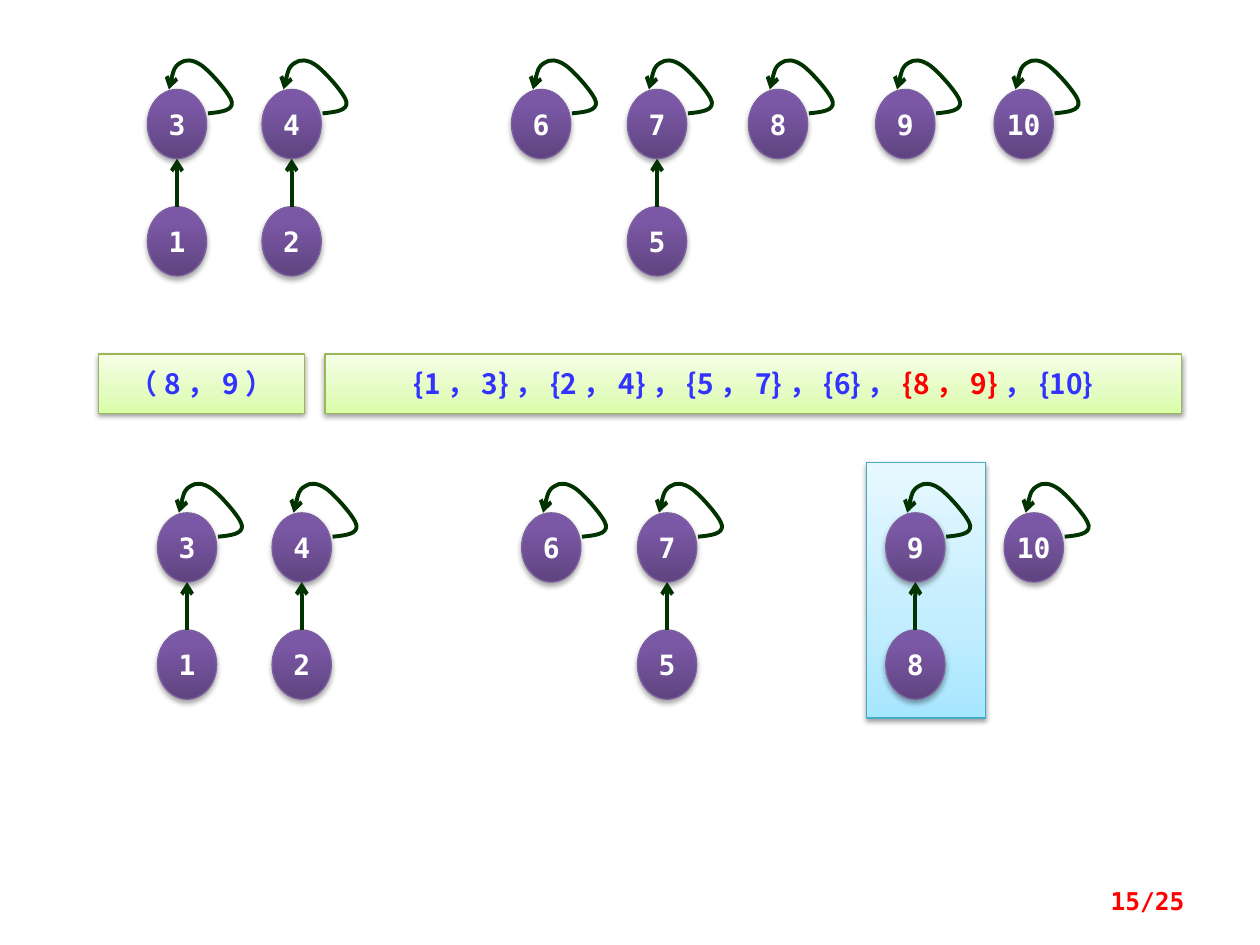
import pptx
import pptx.dml.color
import pptx.enum.shapes
import pptx.enum.text
import pptx.oxml
import pptx.oxml.ns
import pptx.util
from pptx.util import Inches

qn = pptx.oxml.ns.qn
MSO_SHAPE = pptx.enum.shapes.MSO_SHAPE
PP_ALIGN = pptx.enum.text.PP_ALIGN

MONO, CJK = "DejaVu Sans Mono", "Noto Sans CJK SC"
WHITE, BLUE, RED, DARK_GREEN = "FFFFFF", "3333FF", "FF0000", "003300"
# Each finish: gradient stops from bottom to top, outline, shadow opacity, shadow distance
PURPLE = ([(0, "5F4480"), (80, "7B58A6"), (100, "7C57A8")], "7D60A0", 35, 1.8)
GREEN = ([(0, "DAFDA7"), (35, "E4FCC2"), (100, "F5FFE7")], "98B955", 38, 1.6)
SKY = ([(0, "A7E6FF"), (35, "C1EDFF"), (100, "E7F8FF")], "46AAC5", 38, 1.6)

NODE_WIDTH, NODE_HEIGHT = 0.47, 0.55
ROOT_TOP, CHILD_TOP = 0.71, 1.64
# Start of the self-loop, then three points for each Bezier curve, from the node's corner
LOOP = [(0.48, 0.19),
        (0.58, 0.18), (0.68, 0.17), (0.67, 0.10),
        (0.66, 0.04), (0.50, -0.14), (0.43, -0.19),
        (0.36, -0.24), (0.30, -0.24), (0.26, -0.21),
        (0.21, -0.18), (0.19, -0.09), (0.17, 0)]


def rgb(hex_color):
    """Turn a hex string into a colour."""
    return pptx.dml.color.RGBColor.from_string(hex_color)


def add_xml(parent, tag, **attributes):
    """Append a DrawingML element to parent and return it."""
    child = parent.makeelement(qn(tag), {k: str(v) for k, v in attributes.items()})
    parent.append(child)
    return child


class ForestSlide:
    """Draws union-find trees on one slide."""

    def __init__(self, slide):
        self.slide = slide
        self.shapes = slide.shapes

    def label(self, frame, runs, size, font, align=PP_ALIGN.CENTER):
        """Set (text, colour) runs as one bold paragraph."""
        frame.word_wrap = True
        frame.vertical_anchor = pptx.enum.text.MSO_ANCHOR.MIDDLE
        paragraph = frame.paragraphs[0]
        paragraph.alignment = align
        for text, color in runs:
            run = paragraph.add_run()
            run.text = text
            run.font.size = pptx.util.Pt(size)
            run.font.bold = True
            run.font.name = font
            run.font.color.rgb = rgb(color)
            add_xml(run.font._element, "a:ea", typeface=font)

    def glossy(self, kind, left, top, width, height, finish):
        """Add a shape with gradient, outline and soft shadow."""
        stops, outline, opacity, distance = finish
        shape = self.shapes.add_shape(
            kind, Inches(left), Inches(top), Inches(width), Inches(height))
        shape.fill.gradient()
        gradient = shape._element.spPr.find(qn("a:gradFill"))
        stop_list = gradient.find(qn("a:gsLst"))
        for stop in list(stop_list):
            stop_list.remove(stop)
        for position, color in stops:
            stop = add_xml(stop_list, "a:gs", pos=position * 1000)
            add_xml(stop, "a:srgbClr", val=color)
        shape.fill.gradient_angle = 90
        shape.line.color.rgb = rgb(outline)
        shape.line.width = pptx.util.Pt(0.75)
        shape.shadow.inherit = False
        effects = shape._element.spPr.find(qn("a:effectLst"))
        shadow = add_xml(effects, "a:outerShdw", blurRad=pptx.util.Pt(3.1),
                         dist=pptx.util.Pt(distance), dir=5400000, rotWithShape=0)
        black = add_xml(shadow, "a:srgbClr", val="000000")
        add_xml(black, "a:alpha", val=opacity * 1000)
        return shape

    def banner(self, left, width, runs):
        """Add a green box with text."""
        box = self.glossy(MSO_SHAPE.RECTANGLE, left, 2.81, width, 0.47, GREEN)
        self.label(box.text_frame, runs, 16, CJK)

    def node(self, number, left, top):
        """Add a numbered tree node."""
        oval = self.glossy(MSO_SHAPE.OVAL, left, top, NODE_WIDTH, NODE_HEIGHT, PURPLE)
        oval.text_frame.margin_left = oval.text_frame.margin_right = 0
        self.label(oval.text_frame, [(str(number), WHITE)], 16, MONO)

    def arrow_style(self, pointer):
        """Give a line or curve its colour, weight and arrowhead."""
        pointer.line.color.rgb = rgb(DARK_GREEN)
        pointer.line.width = pptx.util.Pt(2.25)
        add_xml(pointer.line._get_or_add_ln(), "a:tailEnd", type="arrow")
        add_xml(pointer._element.spPr, "a:effectLst")

    def self_loop(self, left, top):
        """Add the curved arrow from a root back to itself."""
        points = [(Inches(left + x), Inches(top + y)) for x, y in LOOP]
        builder = self.shapes.build_freeform(*points[0], scale=1.0)
        builder.add_line_segments(points[1:], close=False)
        loop = builder.convert_to_shape()
        segments = list(loop._element.iter(qn("a:lnTo")))
        outline = segments[0].getparent()
        for start in range(0, len(segments), 3):
            curve = add_xml(outline, "a:cubicBezTo")
            for segment in segments[start:start + 3]:
                curve.append(segment[0])
                outline.remove(segment)
        loop.fill.background()
        self.arrow_style(loop)

    def parent_arrow(self, x, start, end):
        """Add the straight arrow from a child up to its root."""
        arrow = self.shapes.add_connector(
            pptx.enum.shapes.MSO_CONNECTOR.STRAIGHT,
            Inches(x), Inches(start), Inches(x), Inches(end))
        self.arrow_style(arrow)

    def forest(self, trees, dx=0, dy=0):
        """Draw (root, child or None, left) trees shifted by dx and dy."""
        for root, child, left in trees:
            left, top = left + dx, ROOT_TOP + dy
            self.node(root, left, top)
            self.self_loop(left, top)
            if child:
                self.node(child, left, CHILD_TOP + dy)
                self.parent_arrow(left + NODE_WIDTH / 2, CHILD_TOP + dy,
                                  top + NODE_HEIGHT)

    def page_number(self, text):
        """Add the page number at the bottom right."""
        box = self.shapes.add_textbox(
            Inches(7.17), Inches(6.95), Inches(2.33), Inches(0.4))
        self.label(box.text_frame, [(text, RED)], 14, MONO, PP_ALIGN.RIGHT)


def main():
    """Build and save the slide."""
    deck = pptx.Presentation()
    deck.slide_width, deck.slide_height = Inches(10), Inches(7.5)
    page = ForestSlide(deck.slides.add_slide(deck.slide_layouts[6]))

    page.glossy(MSO_SHAPE.RECTANGLE, 6.88, 3.67, 0.94, 2.03, SKY)
    page.banner(0.78, 1.64, [("（8，9）", BLUE)])
    page.banner(2.58, 6.8, [("{1，3}，{2，4}，{5，7}，{6}，", BLUE),
                            ("{8，9}", RED), ("，{10}", BLUE)])

    shared = [(3, 1, 1.17), (4, 2, 2.08), (6, None, 4.06), (7, 5, 4.98),
              (10, None, 7.89)]
    page.forest(shared + [(8, None, 5.94), (9, None, 6.95)])
    page.forest(shared + [(9, 8, 6.95)], dx=0.08, dy=3.36)
    page.page_number("15/25")
    deck.save("out.pptx")


main()
